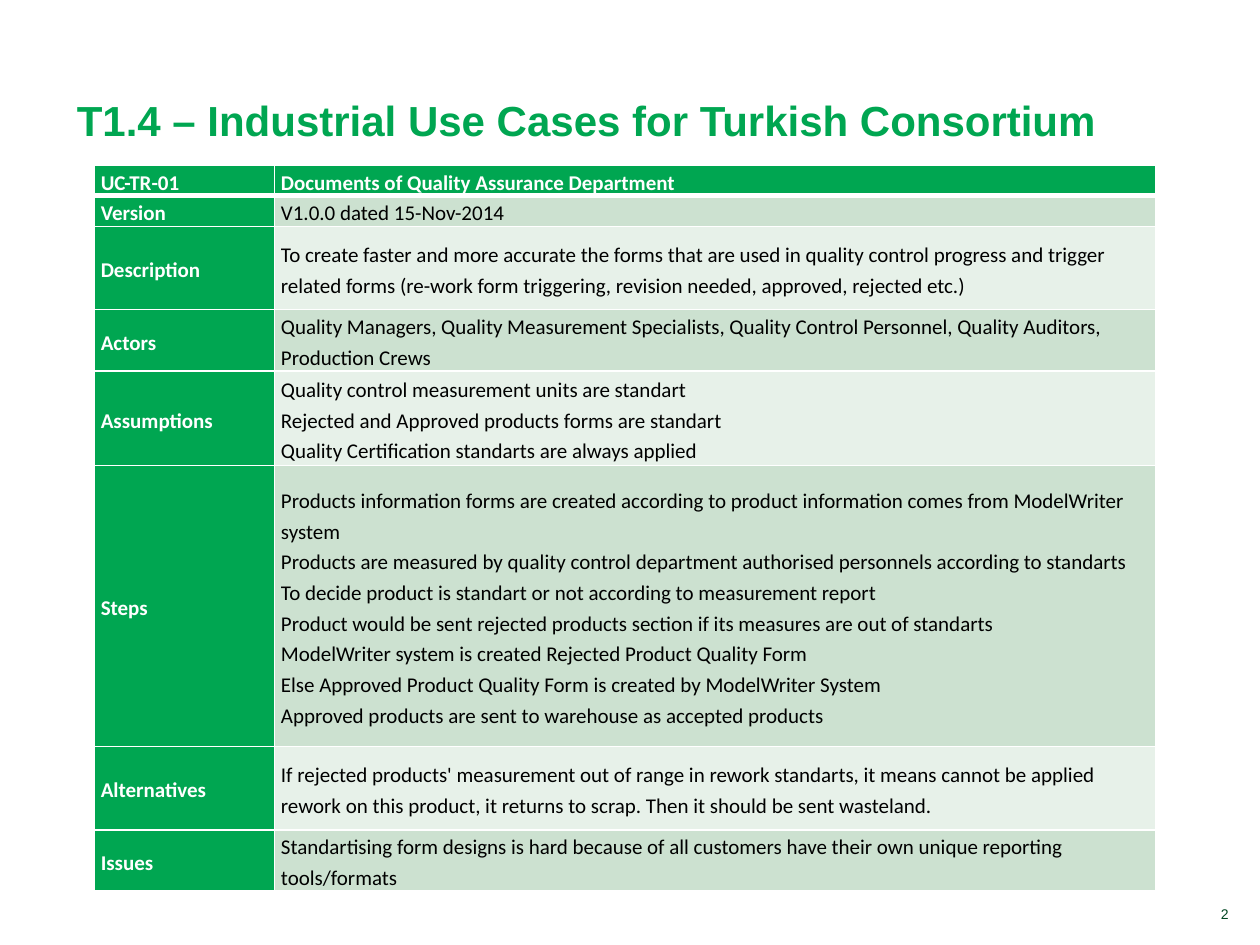
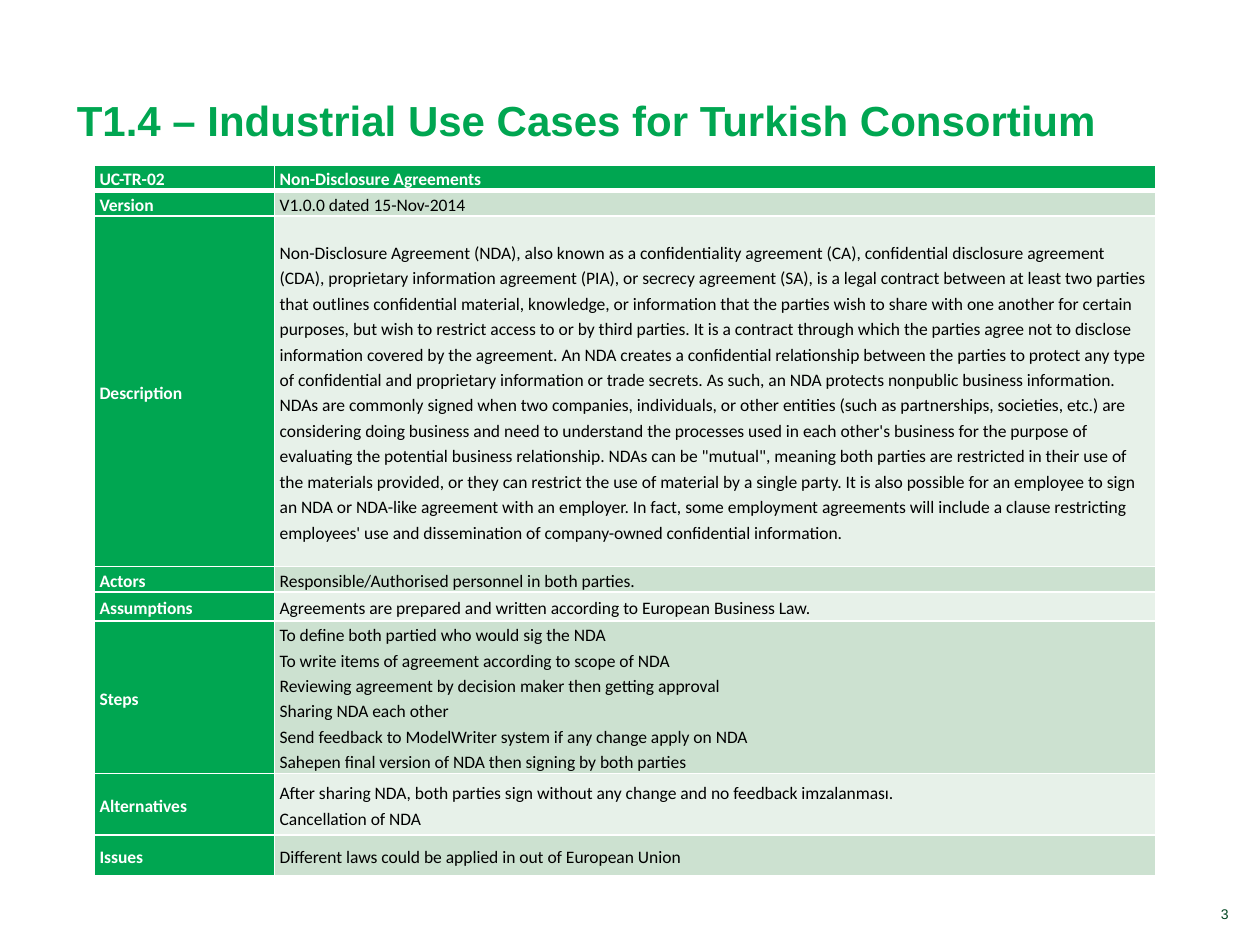
"""Build two use-case slides, each a title over a labelled table."""
from lxml.etree import SubElement
from pptx import Presentation
from pptx.dml.color import RGBColor
from pptx.enum.text import MSO_ANCHOR, MSO_AUTO_SIZE, PP_ALIGN
from pptx.oxml.ns import qn
from pptx.util import Inches, Pt

TITLE = "T1.4 – Industrial Use Cases for Turkish Consortium"
LABELS = ("Version", "Description", "Actors", "Assumptions", "Steps",
          "Alternatives", "Issues")
USE_CASES = [
    {
        "number": 2,
        "code": "UC-TR-01",
        "name": "Documents of Quality Assurance Department",
        "size": 12,
        "inset": 0.05,
        "heights": (0.22, 0.22, 0.66, 0.44, 0.75, 2.23, 0.66, 0.44),
        "details": [
            ["V1.0.0 dated 15-Nov-2014"],
            ["To create faster and more accurate the forms that are used in quality "
             "control progress and trigger related forms (re-work form triggering, "
             "revision needed, approved, rejected etc.)"],
            ["Quality Managers, Quality Measurement Specialists, Quality Control "
             "Personnel, Quality Auditors, Production Crews"],
            ["Quality control measurement units are standart",
             "Rejected and Approved products forms are standart",
             "Quality Certification standarts are always applied"],
            ["Products information forms are created according to product "
             "information comes from ModelWriter system",
             "Products are measured by quality control department authorised "
             "personnels according to standarts",
             "To decide product is standart or not according to measurement report",
             "Product would be sent rejected products section if its measures are "
             "out of standarts",
             "ModelWriter system is created Rejected Product Quality Form",
             "Else Approved Product Quality Form is created by ModelWriter System",
             "Approved products are sent to warehouse as accepted products"],
            ["If rejected products' measurement out of range in rework standarts, it "
             "means cannot be applied rework on this product, it returns to scrap. "
             "Then it should be sent wasteland."],
            ["Standartising form designs is hard because of all customers have their "
             "own unique reporting tools/formats"],
        ],
    },
    {
        "number": 3,
        "code": "UC-TR-02",
        "name": "Non-Disclosure Agreements",
        "size": 10,
        "inset": 0.04,
        "heights": (0.16, 0.16, 2.78, 0.16, 0.23, 1, 0.49, 0.32),
        "details": [
            ["V1.0.0 dated 15-Nov-2014"],
            ["Non-Disclosure Agreement (NDA), also known as a confidentiality "
             "agreement (CA), confidential disclosure agreement (CDA), proprietary "
             "information agreement (PIA), or secrecy agreement (SA), is a legal "
             "contract between at least two parties that outlines confidential "
             "material, knowledge, or information that the parties wish to share "
             "with one another for certain purposes, but wish to restrict access to "
             "or by third parties. It is a contract through which the parties agree "
             "not to disclose information covered by the agreement. An NDA creates a "
             "confidential relationship between the parties to protect any type of "
             "confidential and proprietary information or trade secrets. As such, an "
             "NDA protects nonpublic business information.",
             "NDAs are commonly signed when two companies, individuals, or other "
             "entities (such as partnerships, societies, etc.) are considering doing "
             "business and need to understand the processes used in each other's "
             "business for the purpose of evaluating the potential business "
             "relationship. NDAs can be \"mutual\", meaning both parties are "
             "restricted in their use of the materials provided, or they can "
             "restrict the use of material by a single party. It is also possible "
             "for an employee to sign an NDA or NDA-like agreement with an employer. "
             "In fact, some employment agreements will include a clause restricting "
             "employees' use and dissemination of company-owned confidential "
             "information."],
            ["Responsible/Authorised personnel in both parties."],
            ["Agreements are prepared and written according to European Business Law."],
            ["To define both partied who would sig the NDA",
             "To write items of agreement according to scope of NDA",
             "Reviewing agreement by decision maker then getting approval",
             "Sharing NDA each other",
             "Send feedback to ModelWriter system if any change apply on NDA",
             "Sahepen final version of NDA then signing by both parties"],
            ["After sharing NDA, both parties sign without any change and no "
             "feedback imzalanması.",
             "Cancellation of NDA"],
            ["Different laws could be applied in out of European Union"],
        ],
    },
]

GREEN = RGBColor(0x00, 0xA6, 0x51)
DARK_GREEN = RGBColor(0x00, 0x46, 0x21)
BANDS = (RGBColor(0xE7, 0xF1, 0xE9), RGBColor(0xCC, 0xE1, 0xD0))
WHITE = RGBColor(0xFF, 0xFF, 0xFF)
BLACK = RGBColor(0x00, 0x00, 0x00)

TITLE_BOX = (0.51, 0.29, 8.5, 0.91)
NUMBER_BOX = (8.54, 7.14, 1.31, 0.23)
TABLE_LEFT, TABLE_TOP = 0.75, 1.31
COLUMNS = (1.43, 6.99)


def set_font(p, name, size, color, bold=False):
    p.font.name = name
    p.font.size = Pt(size)
    p.font.bold = bold
    p.font.color.rgb = color


def add_title(slide):
    sp = slide.shapes.title
    sp.left, sp.top, sp.width, sp.height = map(Inches, TITLE_BOX)
    tf = sp.text_frame
    tf.text = TITLE
    tf.auto_size = MSO_AUTO_SIZE.NONE
    tf.vertical_anchor = MSO_ANCHOR.BOTTOM
    p = tf.paragraphs[0]
    p.alignment = PP_ALIGN.LEFT
    set_font(p, "Arial", 24, GREEN, True)


def add_number(slide, number):
    tf = slide.shapes.add_textbox(*map(Inches, NUMBER_BOX)).text_frame
    tf.word_wrap = True
    tf.vertical_anchor = MSO_ANCHOR.BOTTOM
    p = tf.paragraphs[0]
    p.text = str(number)
    p.alignment = PP_ALIGN.RIGHT
    set_font(p, "Arial", 8, DARK_GREEN)


def set_borders(cell, top, bottom):
    tcPr = cell._tc.get_or_add_tcPr()
    for side, width in (("L", 1), ("R", 1), ("T", top), ("B", bottom)):
        ln = SubElement(tcPr, qn(f"a:ln{side}"), w=str(Pt(width)))
        fill = SubElement(ln, qn("a:solidFill"))
        SubElement(fill, qn("a:srgbClr"), val=str(WHITE))


def fill_cell(cell, lines, row, is_label, size, inset):
    strong = is_label or row == 0
    set_borders(cell, 3 if row == 1 else 1, 3 if row == 0 else 1)
    cell.fill.solid()
    cell.fill.fore_color.rgb = GREEN if strong else BANDS[row % 2]
    cell.margin_left = cell.margin_right = Inches(inset)
    cell.margin_top = cell.margin_bottom = 0
    top_aligned = row == 1 and not is_label
    cell.vertical_anchor = MSO_ANCHOR.TOP if top_aligned else MSO_ANCHOR.MIDDLE
    cell.text_frame.text = "\n".join(lines)
    for p in cell.text_frame.paragraphs:
        p.line_spacing = 1.2
        set_font(p, "Calibri", size, WHITE if strong else BLACK, strong)


def add_use_case(slide, case):
    rows = [(case["code"], [case["name"]]), *zip(LABELS, case["details"])]
    heights = case["heights"]
    table = slide.shapes.add_table(
        len(rows), len(COLUMNS), Inches(TABLE_LEFT), Inches(TABLE_TOP),
        Inches(sum(COLUMNS)), Inches(sum(heights))).table
    for column, width in zip(table.columns, COLUMNS):
        column.width = Inches(width)
    for i, (label, lines) in enumerate(rows):
        table.rows[i].height = Inches(heights[i])
        fill_cell(table.cell(i, 0), [label], i, True, case["size"], case["inset"])
        fill_cell(table.cell(i, 1), lines, i, False, case["size"], case["inset"])


def main():
    prs = Presentation()
    prs.slide_width, prs.slide_height = Inches(10), Inches(7.5)
    for case in USE_CASES:
        slide = prs.slides.add_slide(prs.slide_layouts[5])
        add_title(slide)
        add_use_case(slide, case)
        add_number(slide, case["number"])
    prs.save("out.pptx")


if __name__ == "__main__":
    main()
